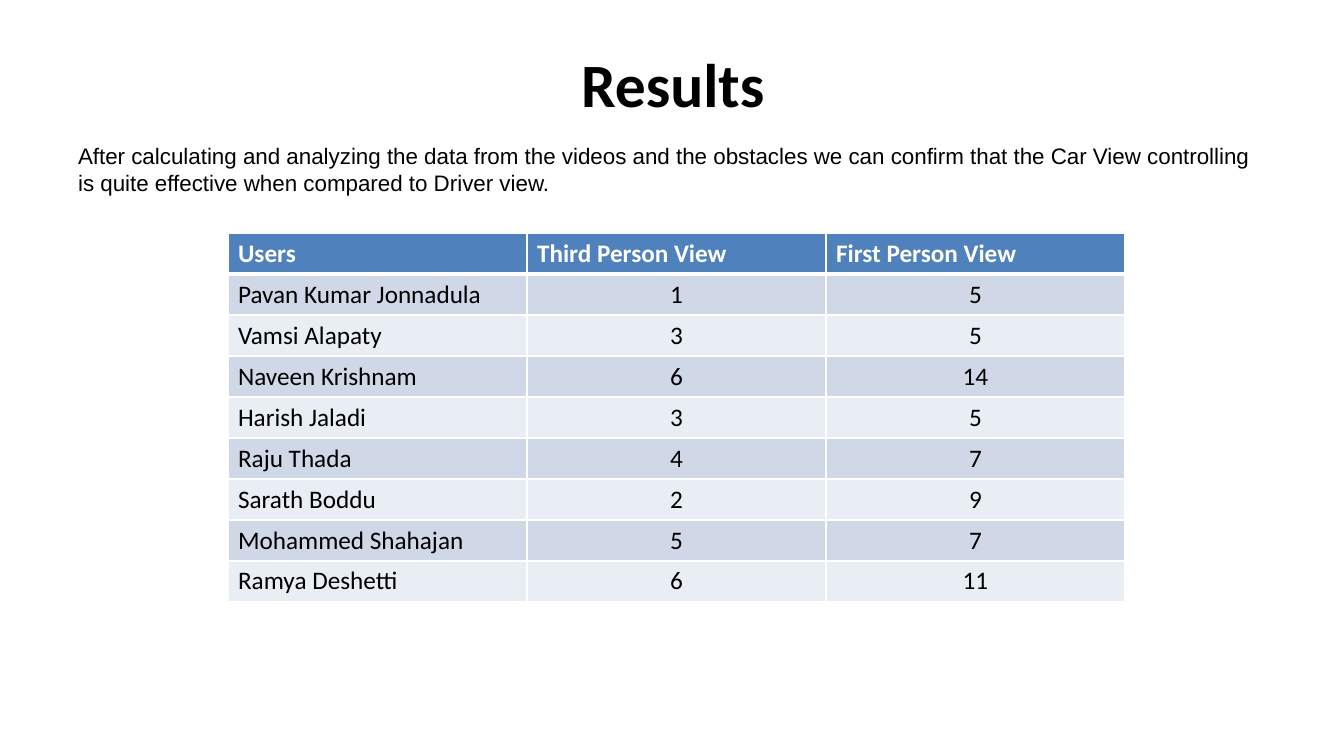
from lxml import etree
from pptx import Presentation
from pptx import util as u
from pptx.dml.color import RGBColor
from pptx.enum import text
from pptx.oxml import ns

PX = 914400 / 100.8
RESULTS = [
    ("Users", "Third Person View", "First Person View"),
    ("Pavan Kumar Jonnadula", 1, 5),
    ("Vamsi Alapaty", 3, 5),
    ("Naveen Krishnam", 6, 14),
    ("Harish Jaladi", 3, 5),
    ("Raju Thada", 4, 7),
    ("Sarath Boddu", 2, 9),
    ("Mohammed Shahajan", 5, 7),
    ("Ramya Deshetti", 6, 11),
]


def px(length):
    """Turn pixels into EMU."""
    return u.Emu(round(length * PX))


def color(value):
    """Turn a hex string into a colour."""
    return RGBColor.from_string(value)


def write(frame, content, font="Calibri", size=18, fill="000000", bold=False, align="LEFT"):
    """Write one formatted paragraph without a bullet."""
    frame.word_wrap = True
    paragraph = frame.paragraphs[0]
    paragraph.text = str(content)
    paragraph.alignment = getattr(text.PP_ALIGN, align)
    paragraph.space_before = u.Pt(0)
    properties = paragraph._p.get_or_add_pPr()
    properties.set("marL", "0")
    properties.set("indent", "0")
    etree.SubElement(properties, ns.qn("a:buNone"))
    style = paragraph.runs[0].font
    style.name, style.size, style.bold = font, u.Pt(size), bold
    style.color.rgb = color(fill)


class Deck:
    """Holds the palette and the current slide."""

    header, bands, line = "4F81BD", ("E9EDF4", "D0D8E8"), "FFFFFF"

    def __init__(self, width, height):
        """Open a presentation with one title and content slide."""
        self.presentation = Presentation()
        self.presentation.slide_width = px(width)
        self.presentation.slide_height = px(height)
        self.slide = self.presentation.slides.add_slide(self.presentation.slide_layouts[1])

    def placeholder(self, index, box, content, anchor, **style):
        """Move and fill a template placeholder."""
        shape = self.slide.placeholders[index]
        shape.left, shape.top, shape.width, shape.height = map(px, box)
        shape.text_frame.auto_size = text.MSO_AUTO_SIZE.NONE
        shape.text_frame.vertical_anchor = getattr(text.MSO_ANCHOR, anchor)
        write(shape.text_frame, content, **style)

    def border(self, cell, side, points):
        """Draw one side of a cell."""
        properties = cell._tc.get_or_add_tcPr()
        edge = etree.SubElement(properties, ns.qn(f"a:ln{side}"), w=str(u.Pt(points)))
        fill = etree.SubElement(edge, ns.qn("a:solidFill"))
        etree.SubElement(fill, ns.qn("a:srgbClr"), val=self.line)

    def table(self, left, top, column, row, rows):
        """Add a banded table with a header row."""
        count, columns = len(rows), len(rows[0])
        box = map(px, (left, top, column * columns, row * count))
        table = self.slide.shapes.add_table(count, columns, *box).table
        for r, values in enumerate(rows):
            heading = r == 0
            for c, value in enumerate(values):
                cell = table.cell(r, c)
                for side in "LRTB":
                    thick = (r, side) in ((0, "B"), (1, "T"))
                    self.border(cell, side, 3 if thick else 1)
                cell.fill.solid()
                cell.fill.fore_color.rgb = color(self.header if heading else self.bands[r % 2])
                write(cell.text_frame, value, bold=heading,
                      fill="FFFFFF" if heading else "000000",
                      align="CENTER" if c and not heading else "LEFT")


def main():
    """Build and save the results slide."""
    deck = Deck(1344, 756)
    deck.placeholder(0, (68, 20, 1210, 126), "Results", "MIDDLE",
                     size=44, bold=True, align="CENTER")
    deck.placeholder(1, (68, 137, 1210, 499),
                     "After calculating and analyzing the data from the videos and the obstacles "
                     "we can confirm that the Car View controlling is quite effective when "
                     "compared to Driver view.", "TOP", font="Arial", size=16)
    deck.table(228, 233, 299, 41, RESULTS)
    deck.presentation.save("out.pptx")


if __name__ == "__main__":
    main()
